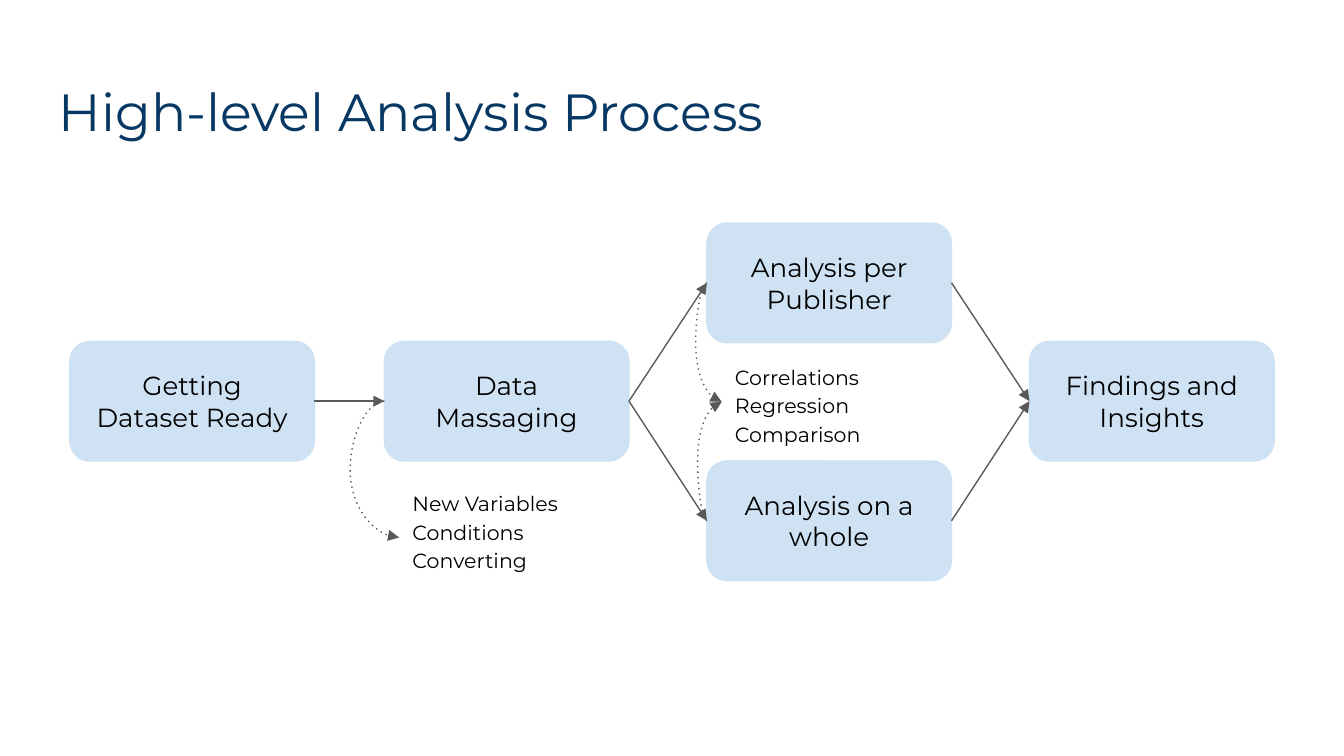
from dataclasses import dataclass

from lxml import etree
from pptx import Presentation
from pptx.dml.color import RGBColor
from pptx.enum.shapes import MSO_CONNECTOR, MSO_SHAPE
from pptx.enum.text import MSO_ANCHOR, PP_ALIGN
from pptx.oxml.ns import qn
from pptx.util import Inches, Pt

ROUNDED = MSO_SHAPE.ROUNDED_RECTANGLE
STRAIGHT, CURVED = MSO_CONNECTOR.STRAIGHT, MSO_CONNECTOR.CURVE
LEFT, CENTER = PP_ALIGN.LEFT, PP_ALIGN.CENTER
TOP, MIDDLE = MSO_ANCHOR.TOP, MSO_ANCHOR.MIDDLE
LEFT_SIDE, RIGHT_SIDE = 1, 3


@dataclass(frozen=True)
class Theme:
    font: str = "Montserrat"
    title: RGBColor = RGBColor(0x07, 0x37, 0x63)
    text: RGBColor = RGBColor(0, 0, 0)
    step: RGBColor = RGBColor(0xCF, 0xE2, 0xF3)
    arrow: RGBColor = RGBColor(0x59, 0x59, 0x59)
    title_size: int = 28
    step_size: int = 14
    note_size: int = 11
    line_width: float = 0.75


theme = Theme()

# Grid in inches: left edges of the columns, top edges of the rows
COLUMNS = [0.52, 2.86, 5.26, 7.66]
ROWS = [1.66, 2.54, 3.43]
STEP_WIDTH, STEP_HEIGHT = 1.82, 0.89
NOTE_INDENT, NOTE_WIDTH = 0.11, 1.6

deck = Presentation()
deck.slide_width = Inches(10)
deck.slide_height = deck.slide_width * 9 // 16
page = deck.slides.add_slide(deck.slide_layouts[6])


def write(shape, text, size, color, align=LEFT, anchor=TOP, spacing=1.0):
    frame = shape.text_frame
    frame.word_wrap = True
    frame.vertical_anchor = anchor
    frame.margin_left = frame.margin_right = Inches(0.1)
    frame.margin_top = frame.margin_bottom = Inches(0.1)
    frame.text = text
    for para in frame.paragraphs:
        para.alignment = align
        para.line_spacing = spacing
        for span in para.runs:
            span.font.name = theme.font
            span.font.size = Pt(size)
            span.font.color.rgb = color


def add_arrow(kind, start, start_side, end, end_side, dash="solid"):
    arrow = page.shapes.add_connector(kind, 0, 0, 0, 0)
    arrow.begin_connect(start, start_side)
    arrow.end_connect(end, end_side)
    arrow.line.color.rgb = theme.arrow
    arrow.line.width = Pt(theme.line_width)
    properties = arrow._element.spPr
    line = properties.find(qn("a:ln"))
    etree.SubElement(line, qn("a:prstDash"), val=dash)
    etree.SubElement(line, qn("a:tailEnd"), type="triangle")
    etree.SubElement(properties, qn("a:effectLst"))
    return arrow


# Steps: name -> (column, row, text)
step_plan = {
    "dataset": (0, 1, "Getting Dataset Ready"),
    "publisher": (2, 0, "Analysis per Publisher"),
    "massaging": (1, 1, "Data Massaging"),
    "whole": (2, 2, "Analysis on a whole"),
    "findings": (3, 1, "Findings and Insights"),
}
steps = {}
for name, (column, row, text) in step_plan.items():
    box = page.shapes.add_shape(
        ROUNDED, Inches(COLUMNS[column]), Inches(ROWS[row]),
        Inches(STEP_WIDTH), Inches(STEP_HEIGHT))
    box.shadow.inherit = False
    box.fill.solid()
    box.fill.fore_color.rgb = theme.step
    box.line.color.rgb = theme.step
    box.line.width = Pt(theme.line_width)
    write(box, text, theme.step_size, theme.text, CENTER, MIDDLE)
    steps[name] = box

for start, end in [
    ("dataset", "massaging"),
    ("massaging", "publisher"), ("massaging", "whole"),
    ("publisher", "findings"), ("whole", "findings"),
]:
    add_arrow(STRAIGHT, steps[start], RIGHT_SIDE, steps[end], LEFT_SIDE)

# Notes: name -> (column, top, height, text)
note_plan = {
    "preparation": (1, 3.53, 0.94, "New Variables\nConditions\nConverting"),
    "methods": (2, 2.59, 0.8, "Correlations\nRegression\nComparison"),
}
notes = {}
for name, (column, top, height, text) in note_plan.items():
    note = page.shapes.add_textbox(
        Inches(COLUMNS[column] + NOTE_INDENT), Inches(top),
        Inches(NOTE_WIDTH), Inches(height))
    write(note, text, theme.note_size, theme.text, spacing=1.15)
    notes[name] = note

# Bulge is the curve's reach to the left, as a share of the note indent
for start, end, bulge in [
    ("massaging", "preparation", -2.32),
    ("publisher", "methods", -0.76),
    ("whole", "methods", -0.63),
]:
    curve = add_arrow(
        CURVED, steps[start], LEFT_SIDE, notes[end], LEFT_SIDE, dash="dot")
    adjustments = curve._element.spPr.find(qn("a:prstGeom")).find(qn("a:avLst"))
    etree.SubElement(adjustments, qn("a:gd"), name="adj1",
                     fmla=f"val {round(bulge * 100000)}")

title = page.shapes.add_textbox(
    Inches(0.34), Inches(0.49), Inches(8.4), Inches(0.63))
write(title, "High-level Analysis Process", theme.title_size, theme.title)

deck.save("out.pptx")
